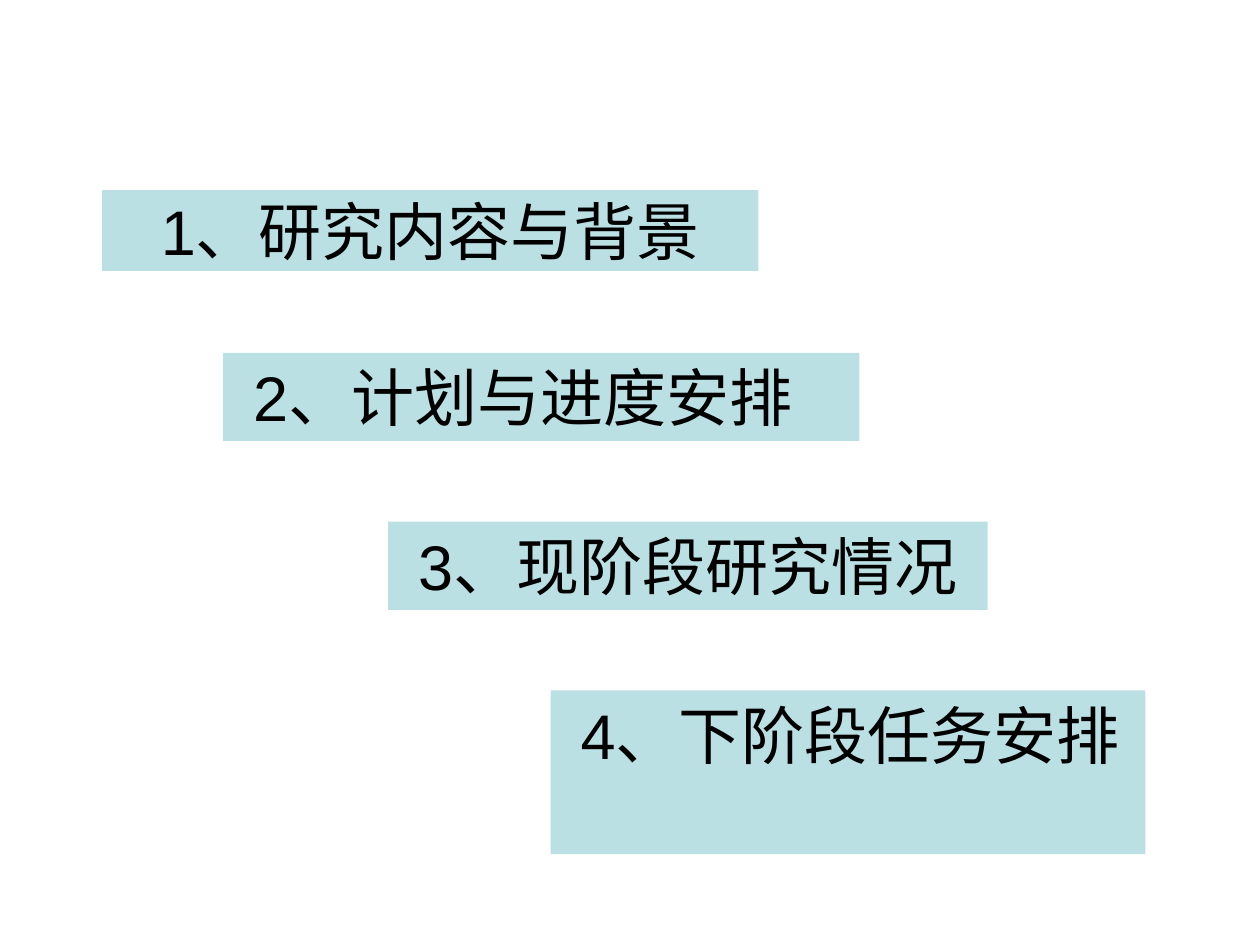
import pptx
import pptx.util
import pptx.dml.color
import pptx.enum.shapes
import pptx.enum.text

Inches = pptx.util.Inches
Align = pptx.enum.text.PP_ALIGN
Anchor = pptx.enum.text.MSO_ANCHOR

COLORS = {"band": "BBE0E3", "text": "000000"}
FIRST_LINE_INDENT = 0.14
STEP_TOP, STEP_PITCH = 2.8, 1.34

HEADING = "1、研究内容与背景"
STEPS = [  # text, left, width, height
    ("2、计划与进度安排", 1.77, 5.05, 0.7),
    ("3、现阶段研究情况", 3.08, 4.76, 0.7),
    ("4、下阶段任务安排", 4.37, 4.72, 1.3),
]


def rgb(name):
    return pptx.dml.color.RGBColor.from_string(COLORS[name])


def write_text(box, text, size=36, font="Arial", color="text",
               align=Align.LEFT, anchor=Anchor.TOP, indent=0):
    frame = box.text_frame
    frame.word_wrap = True
    frame.vertical_anchor = anchor
    para = frame.paragraphs[0]
    para.alignment = align
    if indent:
        para._p.get_or_add_pPr().set("indent", str(Inches(indent)))
    span = para.add_run()
    span.text = text
    span.font.size = pptx.util.Pt(size)
    span.font.name = font
    span.font.color.rgb = rgb(color)


def add_band(page, text, left, top, width, height, **text_format):
    """Place one filled agenda bar with its text."""
    box = page.shapes.add_shape(
        pptx.enum.shapes.MSO_SHAPE.RECTANGLE,
        Inches(left), Inches(top), Inches(width), Inches(height))
    box.shadow.inherit = False
    box.fill.solid()
    box.fill.fore_color.rgb = rgb("band")
    box.line.fill.background()
    write_text(box, text, **text_format)


def build_agenda(page):
    add_band(page, HEADING, 0.81, 1.51, 5.21, 0.64,
             align=Align.CENTER, anchor=Anchor.MIDDLE)
    for index, (text, left, width, height) in enumerate(STEPS):
        add_band(page, text, left, STEP_TOP + index * STEP_PITCH,
                 width, height, indent=FIRST_LINE_INDENT)


def main():
    deck = pptx.Presentation()
    deck.slide_width, deck.slide_height = Inches(10), Inches(7.5)
    build_agenda(deck.slides.add_slide(deck.slide_layouts[6]))
    deck.save("out.pptx")


if __name__ == "__main__":
    main()
